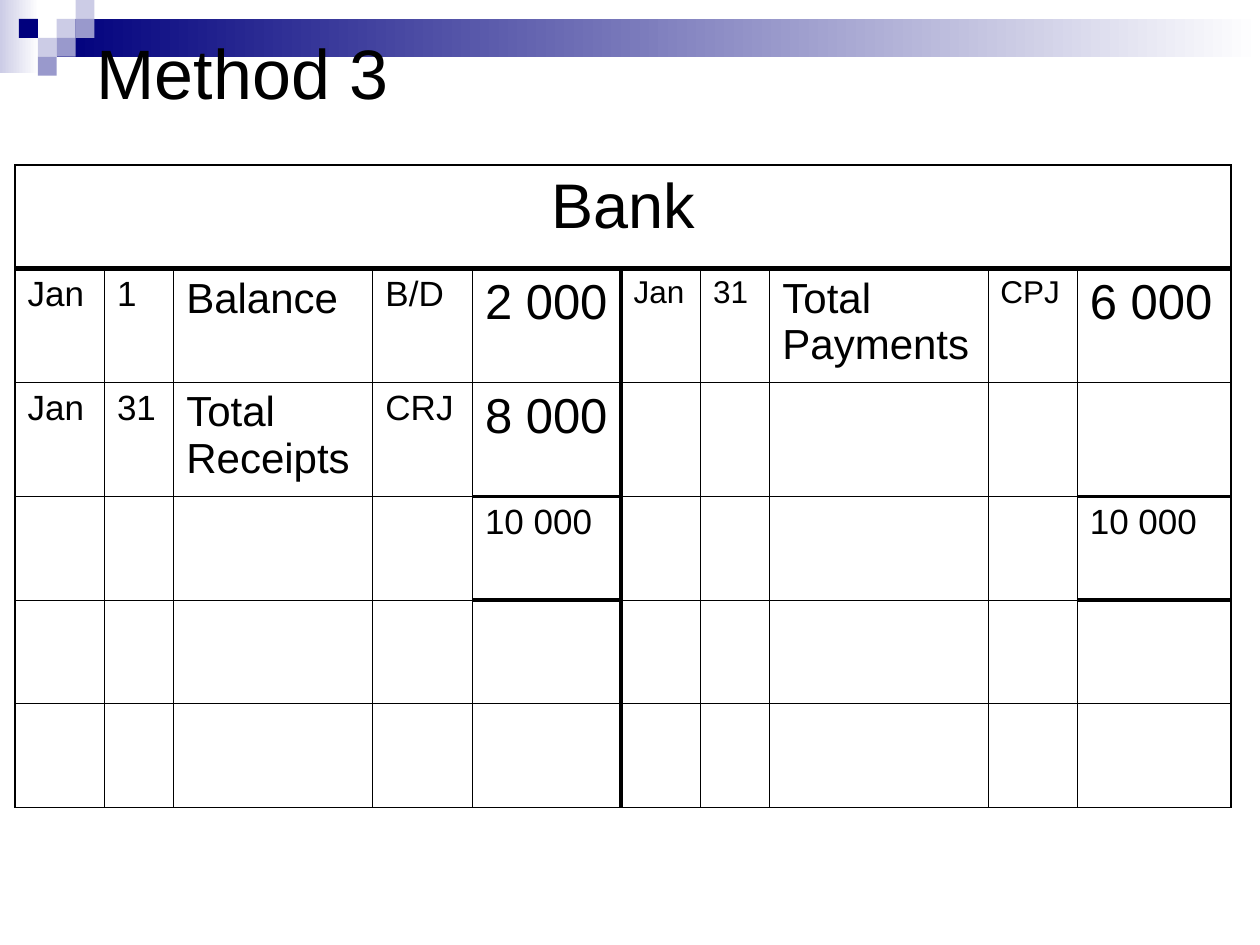
"""Build the Method 3 bank ledger slide."""
from lxml.etree import SubElement
from pptx import Presentation
from pptx.dml.color import RGBColor
from pptx.enum.shapes import MSO_SHAPE
from pptx.enum.text import MSO_ANCHOR, PP_ALIGN
from pptx.oxml.ns import qn
from pptx.util import Pt

TITLE = "Method 3"
ACCOUNT = "Bank"
ENTRIES = [
    [("Jan", 20), ("1", 20), ("Balance", 24), ("B/D", 20), ("2 000", 28),
     ("Jan", 18), ("31", 18), ("Total Payments", 24), ("CPJ", 18), ("6 000", 28)],
    [("Jan", 20), ("31", 20), ("Total Receipts", 24), ("CRJ", 20), ("8 000", 28)],
    [None, None, None, None, ("10 000", 20), None, None, None, None, ("10 000", 20)],
]
COLUMN_WIDTHS = [51.1, 39.6, 113.8, 56.9, 85, 45.4, 39.6, 124.6, 51.1, 87.8]
ROW_HEIGHTS = [59.3, 65, 65, 59.3, 59.3, 59.3]
AMOUNT_COLUMNS = (4, 9)
TOTAL_RULES = (3, 4)
THIN, FRAME, DIVIDER, HEADING_RULE = 0.45, 1.08, 2.21, 3

NAVY, LILAC, PERIWINKLE, WHITE, BLACK = "00007D", "CCCCE6", "9999CC", "FFFFFF", "000000"
BANDS = [((0, 0, 22.3, 41.8), LILAC), ((32.4, 10.8, 687.6, 21.6), NAVY)]
SQUARE = 10.8
SQUARES = [(3, 1, LILAC), (4, 0, LILAC), (4, 1, PERIWINKLE), (2, 2, LILAC),
           (1, 1, NAVY), (3, 2, PERIWINKLE), (2, 3, PERIWINKLE)]


def color(code):
    return RGBColor.from_string(code)


def write(frame, text, size, align=PP_ALIGN.LEFT, anchor=MSO_ANCHOR.TOP):
    frame.word_wrap = True
    frame.vertical_anchor = anchor
    paragraph = frame.paragraphs[0]
    paragraph.alignment = align
    run = paragraph.add_run()
    run.text = text
    run.font.name = "Arial"
    run.font.size = Pt(size)
    run.font.color.rgb = color(BLACK)


def add_block(slide, box, tint, fade=False):
    block = slide.shapes.add_shape(MSO_SHAPE.RECTANGLE, *map(Pt, box))
    block.shadow.inherit = False
    block.line.fill.background()
    if fade:
        block.fill.gradient()
        block.fill.gradient_angle = 0
        for stop, shade in zip(block.fill.gradient_stops, (tint, WHITE)):
            stop.color.rgb = color(shade)
    else:
        block.fill.solid()
        block.fill.fore_color.rgb = color(tint)


def horizontal_rule(line, column):
    if line in (0, len(ROW_HEIGHTS)):
        return FRAME
    if line == 1:
        return HEADING_RULE
    return DIVIDER if line in TOTAL_RULES and column in AMOUNT_COLUMNS else THIN


def vertical_rule(line):
    if line in (0, len(COLUMN_WIDTHS)):
        return FRAME
    return DIVIDER if line == len(COLUMN_WIDTHS) // 2 else THIN


def add_borders(cell, row, column, span):
    weights = {"L": vertical_rule(column), "R": vertical_rule(column + span),
               "T": horizontal_rule(row, column), "B": horizontal_rule(row + 1, column)}
    properties = cell._tc.get_or_add_tcPr()
    for side, weight in weights.items():
        border = SubElement(properties, qn(f"a:ln{side}"), w=str(int(Pt(weight))))
        SubElement(SubElement(border, qn("a:solidFill")), qn("a:srgbClr"), val=BLACK)


def add_ledger(slide):
    ledger = slide.shapes.add_table(
        len(ROW_HEIGHTS), len(COLUMN_WIDTHS), Pt(8.6), Pt(94.3),
        Pt(sum(COLUMN_WIDTHS)), Pt(sum(ROW_HEIGHTS))).table
    ledger.first_row = ledger.horz_banding = False
    for column, width in zip(ledger.columns, COLUMN_WIDTHS):
        column.width = Pt(width)
    for row, height in zip(ledger.rows, ROW_HEIGHTS):
        row.height = Pt(height)
    heading = ledger.cell(0, 0)
    heading.merge(ledger.cell(0, len(COLUMN_WIDTHS) - 1))
    write(heading.text_frame, ACCOUNT, 36, align=PP_ALIGN.CENTER)
    for row, entries in enumerate(ENTRIES, 1):
        for column, entry in enumerate(entries):
            if entry:
                write(ledger.cell(row, column).text_frame, *entry)
    for row in range(len(ROW_HEIGHTS)):
        for column in range(len(COLUMN_WIDTHS)):
            cell = ledger.cell(row, column)
            if not cell.is_spanned:
                add_borders(cell, row, column, cell.span_width if cell.is_merge_origin else 1)
            cell.fill.background()


def main():
    deck = Presentation()
    deck.slide_width, deck.slide_height = Pt(720), Pt(540)
    slide = deck.slides.add_slide(deck.slide_layouts[6])
    for box, tint in BANDS:
        add_block(slide, box, tint, fade=True)
    for column, row, tint in SQUARES:
        add_block(slide, (column * SQUARE, row * SQUARE, SQUARE, SQUARE), tint)
    title = slide.shapes.add_textbox(Pt(48.2), Pt(15.1), Pt(648), Pt(51.1))
    write(title.text_frame, TITLE, 40, anchor=MSO_ANCHOR.MIDDLE)
    add_ledger(slide)
    deck.save("out.pptx")


if __name__ == "__main__":
    main()
